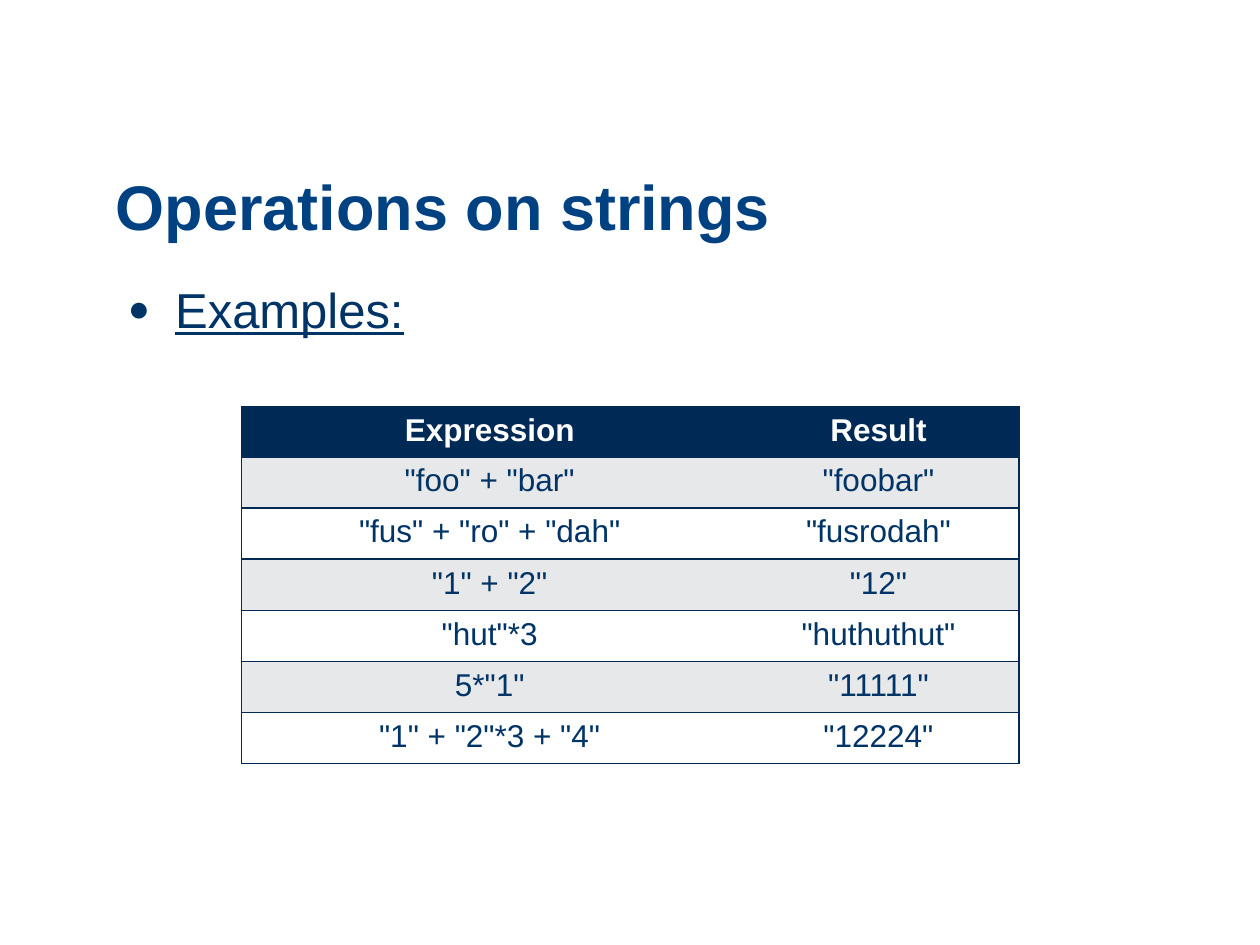
from lxml.etree import SubElement
from pptx import Presentation
from pptx.dml.color import RGBColor
from pptx.enum.shapes import MSO_SHAPE
from pptx.enum.text import MSO_ANCHOR, PP_ALIGN
from pptx.oxml.ns import qn
from pptx.util import Pt

NAVY, INK, BLUE = "002A56", "003366", "004182"
WHITE, GRAY = "FFFFFF", "E7E8E9"
NO_STYLE = "{2D5ABB26-0587-4C30-8999-92F81FD0307C}"

EXAMPLES = [
    ("Expression", "Result"),
    ('"foo" + "bar"', '"foobar"'),
    ('"fus" + "ro" + "dah"', '"fusrodah"'),
    ('"1" + "2"', '"12"'),
    ('"hut"*3', '"huthuthut"'),
    ('5*"1"', '"11111"'),
    ('"1" + "2"*3 + "4"', '"12224"'),
]


def color(value):
    return RGBColor.from_string(value)


class SlideBuilder:
    font_name = "Arial"

    def __init__(self, page):
        self.page = page

    def add_text(self, frame, text, ink, **formats):
        para = frame.paragraphs[0]
        span = para.add_run()
        span.text = text
        span.font.color.rgb = color(ink)
        for name, value in {"name": self.font_name, **formats}.items():
            setattr(span.font, name, value)
        return para

    def title(self, text, left, top, width, height):
        box = self.page.shapes.add_shape(
            MSO_SHAPE.ROUNDED_RECTANGLE, Pt(left), Pt(top), Pt(width), Pt(height))
        box.adjustments[0] = 0.22
        box.shadow.inherit = False
        box.fill.background()
        box.line.fill.background()
        frame = box.text_frame
        layout = {"word_wrap": True, "vertical_anchor": MSO_ANCHOR.BOTTOM,
                  "margin_left": Pt(2), "margin_bottom": 0}
        for name, value in layout.items():
            setattr(frame, name, value)
        para = self.add_text(frame, text, BLUE, size=Pt(36), bold=True)
        para.alignment = PP_ALIGN.LEFT
        para.line_spacing = 0.9

    def bullet(self, text, left, top, width, height):
        box = self.page.shapes.add_textbox(Pt(left), Pt(top), Pt(width), Pt(height))
        box.text_frame.word_wrap = True
        para = self.add_text(box.text_frame, text, INK, size=Pt(28), underline=True)
        para.space_before = Pt(4)
        settings = para._p.get_or_add_pPr()
        settings.set("marL", str(Pt(27)))
        settings.set("indent", str(Pt(-27)))
        tint = SubElement(settings, qn("a:buClr"))
        SubElement(tint, qn("a:srgbClr"), val=INK)
        SubElement(settings, qn("a:buSzPct"), val="75000")
        SubElement(settings, qn("a:buFont"), typeface=self.font_name)
        SubElement(settings, qn("a:buChar"), char="●")

    def border(self, cell, sides):
        settings = cell._tc.get_or_add_tcPr()
        for side in sides:
            line = SubElement(settings, qn(f"a:ln{side}"), w=str(Pt(1)))
            fill = SubElement(line, qn("a:solidFill"))
            SubElement(fill, qn("a:srgbClr"), val=NAVY)

    def table(self, rows, left, top, widths, heights):
        table = self.page.shapes.add_table(
            len(rows), len(widths), Pt(left), Pt(top),
            Pt(sum(widths)), Pt(sum(heights))).table
        table._tbl.tblPr.find(qn("a:tableStyleId")).text = NO_STYLE
        table.horz_banding = False
        for column, width in zip(table.columns, widths):
            column.width = Pt(width)
        for index, (row, height) in enumerate(zip(table.rows, heights)):
            row.height = Pt(height)
            header = index == 0
            back = NAVY if header else GRAY if index % 2 else WHITE
            for cell, text, sides in zip(row.cells, rows[index], ("LTB", "RTB")):
                self.border(cell, sides)
                cell.fill.solid()
                cell.fill.fore_color.rgb = color(back)
                para = self.add_text(cell.text_frame, text, WHITE if header else INK,
                                     size=Pt(18), bold=header)
                para.alignment = PP_ALIGN.CENTER


def main():
    deck = Presentation()
    deck.slide_width, deck.slide_height = Pt(720), Pt(540)
    builder = SlideBuilder(deck.slides.add_slide(deck.slide_layouts[6]))

    # Heading and lead-in
    builder.title("Operations on strings", 60, 78, 624, 66)
    builder.bullet("Examples:", 66, 156, 605.5, 323.5)

    # String expressions and their results
    builder.table(EXAMPLES, 138, 232.3, (283.7, 160.6),
                  [27.6] + [29.2] * (len(EXAMPLES) - 1))

    deck.save("out.pptx")


if __name__ == "__main__":
    main()
